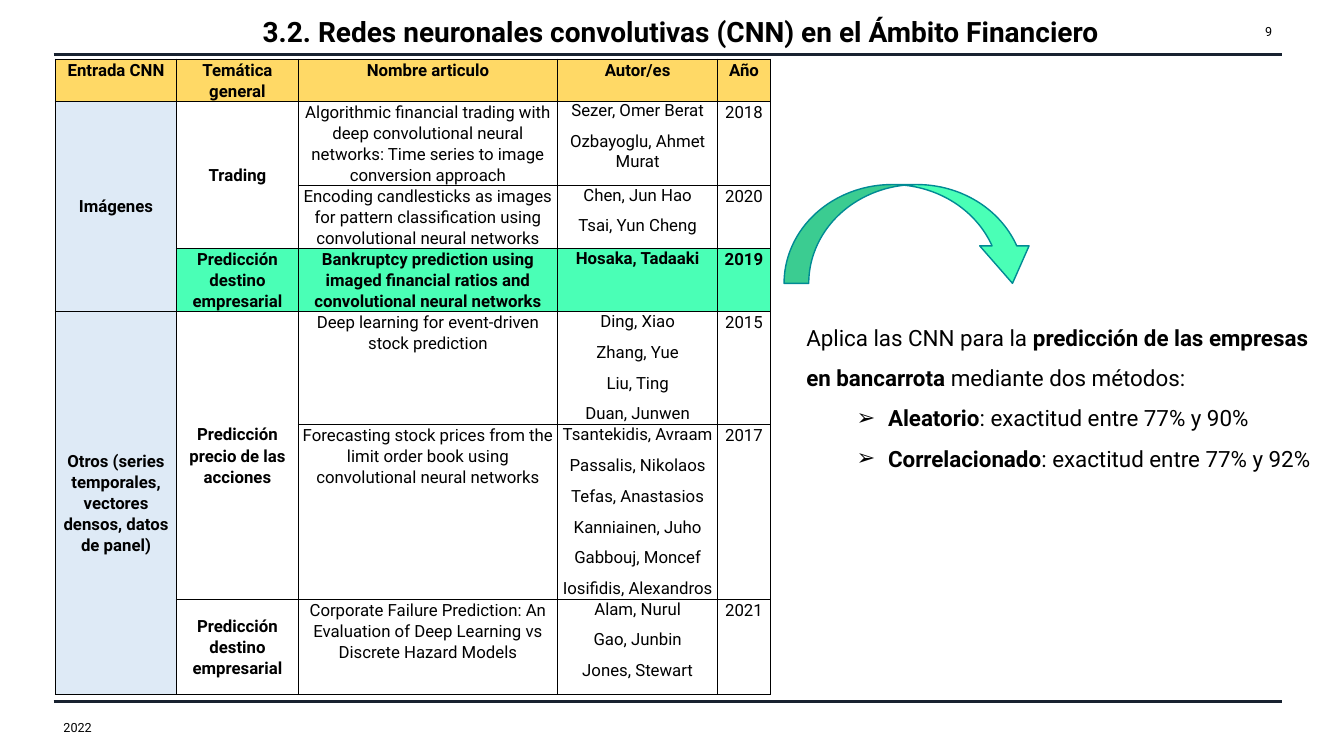
from lxml.etree import SubElement
from pptx import Presentation
from pptx.dml.color import RGBColor
from pptx.enum.shapes import MSO_CONNECTOR, MSO_SHAPE
from pptx.enum.text import MSO_ANCHOR, MSO_AUTO_SIZE, PP_ALIGN
from pptx.oxml.ns import qn
from pptx.util import Cm, Pt

# Content
TITLE = "3.2. Redes neuronales convolutivas (CNN) en el Ámbito Financiero"
YEAR, PAGE_NUMBER = "2022", "9"
HEADINGS = ["Entrada CNN", "Temática general", "Nombre articulo", "Autor/es", "Año"]
FAILURE = "Predicción destino empresarial"
# Input -> topic -> articles (name, authors, year)
INPUTS = [
    ("Imágenes", [
        ("Trading", [
            ("Algorithmic financial trading with deep convolutional neural networks: "
             "Time series to image conversion approach",
             ["Sezer, Omer Berat", "Ozbayoglu, Ahmet Murat"], "2018"),
            ("Encoding candlesticks as images for pattern classification using "
             "convolutional neural networks",
             ["Chen, Jun Hao", "Tsai, Yun Cheng"], "2020"),
        ]),
        (FAILURE, [
            ("Bankruptcy prediction using imaged financial ratios and "
             "convolutional neural networks", ["Hosaka, Tadaaki"], "2019"),
        ]),
    ]),
    ("Otros (series temporales, vectores densos, datos de panel)", [
        ("Predicción precio de las acciones", [
            ("Deep learning for event-driven stock prediction",
             ["Ding, Xiao", "Zhang, Yue", "Liu, Ting", "Duan, Junwen"], "2015"),
            ("Forecasting stock prices from the limit order book using "
             "convolutional neural networks",
             ["Tsantekidis, Avraam", "Passalis, Nikolaos", "Tefas, Anastasios",
              "Kanniainen, Juho", "Gabbouj, Moncef", "Iosifidis, Alexandros"], "2017"),
        ]),
        (FAILURE, [
            ("Corporate Failure Prediction: An Evaluation of Deep Learning vs "
             "Discrete Hazard Models",
             ["Alam, Nurul", "Gao, Junbin", "Jones, Stewart"], "2021"),
        ]),
    ]),
]
HIGHLIGHT_YEAR = "2019"
# Paragraphs of (text, bold) spans, with a bullet flag
FINDINGS = [
    (False, [("Aplica las CNN para la", False),
             (" predicción de las empresas en bancarrota ", True),
             ("mediante dos métodos:", False)]),
    (True, [("Aleatorio", True), (": exactitud entre 77% y 90%", False)]),
    (True, [("Correlacionado", True), (": exactitud entre 77% y 92%", False)]),
]

THEME = {
    "font": "Roboto", "text": "000000", "rule": "182230", "heading": "FFD966",
    "input": "DEEAF6", "highlight": "4AFFB6", "arrow_line": "008A94",
    "title_size": 20, "body_size": 16, "table_size": 12, "small_size": 9,
}
COLUMN_WIDTHS = [3.05, 3.07, 6.53, 4.04, 1.32]
ROW_HEIGHTS = [1.06, 2.12, 1.59, 1.59, 2.85, 4.4, 2.39]


def color(name):
    return RGBColor.from_string(THEME[name])


def apply(target, values):
    for name, value in values.items():
        setattr(target, name, value)


def add_span(para, text, size, bold=False):
    span = para.add_run()
    span.text = text
    apply(span.font, {"name": THEME["font"], "size": Pt(THEME[size]), "bold": bold})
    span.font.color.rgb = color("text")


def add_text(page, place, text, align):
    box = page.shapes.add_textbox(*map(Cm, place))
    apply(box.text_frame, {"word_wrap": True, "vertical_anchor": MSO_ANCHOR.MIDDLE})
    para = box.text_frame.paragraphs[0]
    para.alignment = align
    add_span(para, text, "small_size")


def add_rule(page, top):
    rule = page.shapes.add_connector(
        MSO_CONNECTOR.STRAIGHT, Cm(1.35), Cm(top), Cm(32.31), Cm(top))
    rule.line.color.rgb = color("rule")
    rule.line.width = Pt(2.25)
    SubElement(rule._element.spPr, qn("a:effectLst"))


def style_cell(cell, fill=None):
    properties = cell._tc.get_or_add_tcPr()
    for side in ("lnL", "lnR", "lnT", "lnB"):
        border = SubElement(properties, qn(f"a:{side}"), w=str(Pt(1)))
        solid = SubElement(border, qn("a:solidFill"))
        SubElement(solid, qn("a:srgbClr"), val=THEME["text"])
    if fill:
        cell.fill.solid()
        cell.fill.fore_color.rgb = color(fill)
    else:
        cell.fill.background()
    apply(cell, {"margin_left": Cm(0.05), "margin_right": Cm(0.05),
                 "margin_top": 0, "margin_bottom": 0})


def write_cell(cell, lines, bold=False, spacing=1.07, anchor=MSO_ANCHOR.TOP):
    cell.vertical_anchor = anchor
    frame = cell.text_frame
    for index, line in enumerate(lines):
        para = frame.add_paragraph() if index else frame.paragraphs[0]
        apply(para, {"alignment": PP_ALIGN.CENTER, "line_spacing": spacing,
                     "space_after": Pt(8)})
        add_span(para, line, "table_size", bold)


def write_group(table, row, column, count, label, fill=None):
    for offset in range(count):
        style_cell(table.cell(row + offset, column), fill)
    first = table.cell(row, column)
    if count > 1:
        first.merge(table.cell(row + count - 1, column))
    write_cell(first, [label], True, anchor=MSO_ANCHOR.MIDDLE)


def add_articles(page):
    table = page.shapes.add_table(
        len(ROW_HEIGHTS), len(HEADINGS), Cm(1.4), Cm(1.49),
        Cm(sum(COLUMN_WIDTHS)), Cm(sum(ROW_HEIGHTS))).table
    apply(table, {"first_row": False, "horz_banding": False})
    for column, width in zip(table.columns, COLUMN_WIDTHS):
        column.width = Cm(width)
    for row, height in zip(table.rows, ROW_HEIGHTS):
        row.height = Cm(height)
    for column, heading in enumerate(HEADINGS):
        style_cell(table.cell(0, column), "heading")
        write_cell(table.cell(0, column), [heading], True)
    row = 1
    for source, topics in INPUTS:
        count = sum(len(articles) for _, articles in topics)
        write_group(table, row, 0, count, source, "input")
        for topic, articles in topics:
            marked = articles[0][2] == HIGHLIGHT_YEAR
            fill = "highlight" if marked else None
            write_group(table, row, 1, len(articles), topic, fill)
            for name, authors, year in articles:
                for column, lines in enumerate(([name], authors, [year]), 2):
                    cell = table.cell(row, column)
                    style_cell(cell, fill)
                    write_cell(cell, lines, marked, 1.0 if column == 3 else 1.07)
                row += 1


def add_findings(page):
    box = page.shapes.add_textbox(Cm(20.07), Cm(7.7), Cm(13.79), Cm(4.22))
    frame = box.text_frame
    apply(frame, {"word_wrap": True, "auto_size": MSO_AUTO_SIZE.SHAPE_TO_FIT_TEXT})
    for index, (bulleted, spans) in enumerate(FINDINGS):
        para = frame.add_paragraph() if index else frame.paragraphs[0]
        para.line_spacing = 1.5
        if bulleted:
            para.level = 1
            properties = para._p.get_or_add_pPr()
            properties.set("marL", str(Cm(2.06)))
            properties.set("indent", str(-Cm(0.79)))
            SubElement(properties, qn("a:buFont"), typeface="Wingdings")
            SubElement(properties, qn("a:buChar"), char="➢")
            properties.find(qn("a:buFont")).set("typeface", "Arial")
        for text, bold in spans:
            add_span(para, text, "body_size", bold)


def add_arrow(page):
    arrow = page.shapes.add_shape(
        MSO_SHAPE.CURVED_UP_ARROW, Cm(19.76), Cm(4.65), Cm(6.38), Cm(2.49))
    arrow.rotation = 180
    arrow._element.spPr.find(qn("a:xfrm")).set("flipH", "1")
    for index, value in enumerate((0.25, 0.5, 0.38)):
        arrow.adjustments[index] = value
    arrow.shadow.inherit = False
    arrow.fill.solid()
    arrow.fill.fore_color.rgb = color("highlight")
    arrow.line.color.rgb = color("arrow_line")
    arrow.line.width = Pt(1)


def main():
    deck = Presentation()
    apply(deck, {"slide_width": Cm(33.87), "slide_height": Cm(19.05)})
    page = deck.slides.add_slide(deck.slide_layouts[5])
    # Rules and title
    for top in (1.37, 17.68):
        add_rule(page, top)
    title = page.shapes.title
    apply(title, {"left": Cm(6.2), "top": Cm(0.28), "width": Cm(21.92), "height": Cm(1.75)})
    apply(title.text_frame, {"vertical_anchor": MSO_ANCHOR.TOP, "margin_top": Cm(0.08),
                             "word_wrap": True, "auto_size": MSO_AUTO_SIZE.NONE})
    heading = title.text_frame.paragraphs[0]
    heading.alignment = PP_ALIGN.CENTER
    add_span(heading, TITLE, "title_size", True)
    # Articles and findings
    add_articles(page)
    add_findings(page)
    add_arrow(page)
    # Year and page number
    add_text(page, (1.35, 17.83, 11.43, 1.02), YEAR, PP_ALIGN.LEFT)
    add_text(page, (30.53, 0.28, 1.78, 1.02), PAGE_NUMBER, PP_ALIGN.RIGHT)
    deck.save("out.pptx")


if __name__ == "__main__":
    main()
